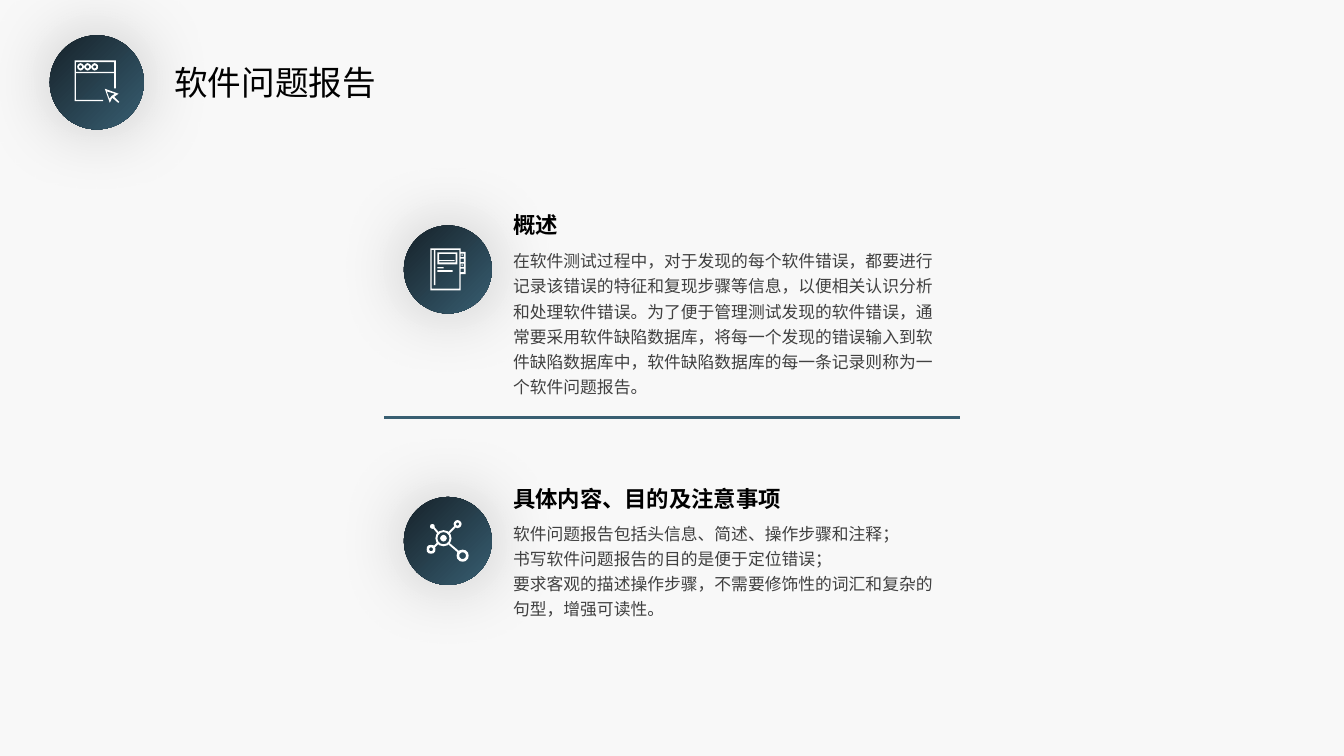
"""Build the software problem report slide with its three icon badges."""
from dataclasses import dataclass
from math import cos, radians, sin

from lxml.etree import SubElement
from pptx import Presentation
from pptx.dml.color import RGBColor
from pptx.enum.lang import MSO_LANGUAGE_ID as Lang
from pptx.enum.shapes import MSO_CONNECTOR as Connector, MSO_SHAPE as Shape
from pptx.enum.text import MSO_ANCHOR as Anchor, MSO_AUTO_SIZE as AutoSize, PP_ALIGN as Align
from pptx.oxml.ns import qn
from pptx.util import Emu, Pt

PX = 3048
COLORS = {
    "background": "F8F8F8", "dark": "17232B", "blue": "395F72",
    "icon": "FFFFFF", "heading": "000000", "body": "404040",
}
CJK = "Noto Sans CJK SC"
Contour = tuple[tuple[int, int], ...]


@dataclass(frozen=True)
class Badge:
    left: int
    top: int
    size: int
    contours: tuple[Contour, ...]


@dataclass(frozen=True)
class Copy:
    idx: int
    box: tuple[int, int, int, int]
    text: str
    size: int
    color: str
    spacing: float = 1.0
    font: str = CJK
    bold: bool = False


@dataclass(frozen=True)
class Section:
    badge: Badge
    copies: tuple[Copy, ...]


def box(left: int, top: int, right: int, bottom: int) -> Contour:
    return ((left, top), (right, top), (right, bottom), (left, bottom))


def disc(cx: int, cy: int, size: int) -> Contour:
    angles = [radians(a) for a in range(0, 360, 30)]
    return tuple((round(cx + size / 2 * cos(a)), round(cy + size / 2 * sin(a))) for a in angles)


BROWSER = (
    ((222, 180), (345, 180), (345, 263), (340, 263), (340, 218),
     (226, 218), (226, 297), (307, 297), (307, 301), (222, 301)),
    box(226, 185, 340, 214),
    *(disc(cx, 199, size) for cx in (240, 261, 282) for size in (21, 10)),
    ((312, 264), (353, 279), (340, 288), (355, 303), (352, 306), (334, 291), (327, 306)),
    ((318, 272), (326, 294), (332, 286), (342, 279)),
)
NOTEBOOK = (
    ((1281, 739), (1371, 739), (1371, 750), (1386, 750),
     (1386, 816), (1371, 816), (1371, 864), (1281, 864)),
    ((1285, 744), (1285, 859), (1367, 859), (1367, 744),
     (1296, 744), (1296, 849), (1291, 849), (1291, 744)),
    box(1302, 751, 1361, 787),
    ((1307, 756), (1307, 774), (1353, 774), (1353, 777),
     (1307, 777), (1307, 781), (1356, 781), (1356, 756)),
    box(1302, 795, 1320, 799),
    box(1302, 804, 1347, 809),
    *(box(1371, y, 1381, y + 10) for y in range(755, 801, 15)),
    *(box(1374, y, 1377, y + 5) for y in (757, 787)),
)
NETWORK = (
    *(disc(1320, 1602, size) for size in (48, 36, 19)),
    *(disc(1362, 1560, size) for size in (24, 10)),
    disc(1287, 1567, 15),
    *(disc(1283, 1635, size) for size in (27, 12)),
    *(disc(1377, 1654, size) for size in (36, 20)),
    ((1335, 1583), (1352, 1566), (1356, 1570), (1339, 1587)),
    ((1305, 1583), (1294, 1570), (1290, 1574), (1301, 1587)),
    ((1300, 1616), (1291, 1625), (1295, 1629), (1304, 1620)),
    ((1339, 1617), (1366, 1640), (1362, 1644), (1335, 1621)),
)
SECTIONS = (
    Section(Badge(148, 105, 280, BROWSER), (
        Copy(0, (489, 168, 1530, 150), "软件问题报告", 24, "heading", font="Arial"),
    )),
    Section(Badge(1202, 671, 262, NOTEBOOK), (
        Copy(2, (1497, 717, 1350, 483),
             "在软件测试过程中，对于发现的每个软件错误，都要进行记录该错误的特征和复现步骤等信息，"
             "以便相关认识分析和处理软件错误。为了便于管理测试发现的软件错误，通常要采用软件缺陷数据库，"
             "将每一个发现的错误输入到软件缺陷数据库中，软件缺陷数据库的每一条记录则称为一个软件问题报告。",
             12, "body", 1.25),
        Copy(1, (1497, 597, 672, 126), "概述", 16, "heading", 1.2, bold=True),
    )),
    Section(Badge(1202, 1479, 262, NETWORK), (
        Copy(4, (1497, 1528, 1350, 408),
             "软件问题报告包括头信息、简述、操作步骤和注释；\n"
             "书写软件问题报告的目的是便于定位错误；\n"
             "要求客观的描述操作步骤，不需要修饰性的词汇和复杂的句型，增强可读性。",
             12, "body", 1.25),
        Copy(3, (1497, 1413, 957, 126), "具体内容、目的及注意事项", 16, "heading", 1.2, bold=True),
    )),
)


def px(value: int) -> Emu:
    return Emu(value * PX)


def rgb(name: str) -> RGBColor:
    return RGBColor.from_string(COLORS[name])


def add_glow(sp) -> None:
    sp.shadow.inherit = False
    effects = sp._element.spPr.find(qn("a:effectLst"))
    shadow = SubElement(effects, qn("a:outerShdw"), blurRad=str(Pt(53)), dist="0",
                        dir="0", algn="ctr", rotWithShape="0")
    tint = SubElement(shadow, qn("a:srgbClr"), val=COLORS["heading"])
    SubElement(tint, qn("a:alpha"), val="20000")


def add_icon(slide, contours: tuple[Contour, ...]) -> None:
    builder = slide.shapes.build_freeform(*contours[0][0], scale=PX)
    for contour in contours:
        builder.move_to(*contour[0])
        builder.add_line_segments(contour[1:], close=True)
    sp = builder.convert_to_shape()
    sp.fill.solid()
    sp.fill.fore_color.rgb = rgb("icon")
    sp.line.fill.background()
    add_glow(sp)


def add_badge(slide, badge: Badge) -> None:
    sp = slide.shapes.add_shape(Shape.OVAL, px(badge.left), px(badge.top),
                                px(badge.size), px(badge.size))
    sp.fill.gradient()
    sp.fill.gradient_angle = 315
    for stop, name, position in zip(sp.fill.gradient_stops, ("dark", "blue"), (0, 1)):
        stop.color.rgb = rgb(name)
        stop.position = position
    sp.line.fill.background()
    add_glow(sp)
    add_icon(slide, badge.contours)


def fill_placeholder(slide, copy: Copy) -> None:
    sp = next(s for s in slide.placeholders if s.placeholder_format.idx == copy.idx)
    slide.shapes._spTree.append(sp._element)
    sp.left, sp.top, sp.width, sp.height = map(px, copy.box)
    tf = sp.text_frame
    tf.text = copy.text
    tf.word_wrap = True
    tf.auto_size = AutoSize.SHAPE_TO_FIT_TEXT
    tf.vertical_anchor = Anchor.TOP
    for p in tf.paragraphs:
        p.alignment = Align.LEFT
        p.line_spacing = copy.spacing
        p.space_before = p.space_after = Pt(0)
        pPr = p._p.get_or_add_pPr()
        pPr.set("marL", "0")
        pPr.set("indent", "0")
        SubElement(pPr, qn("a:buNone"))
        for r in p.runs:
            r.font.size = Pt(copy.size)
            r.font.bold = copy.bold
            r.font.color.rgb = rgb(copy.color)
            r.font.name = copy.font
            r.font.language_id = Lang.SIMPLIFIED_CHINESE
            SubElement(r._r.get_or_add_rPr(), qn("a:ea"), typeface=copy.font)


def add_divider(slide) -> None:
    sp = slide.shapes.add_connector(Connector.STRAIGHT, px(1143), px(1242), px(2856), px(1242))
    sp.line.color.rgb = rgb("blue")
    sp.line.width = Pt(2.25)
    SubElement(sp._element.spPr, qn("a:effectLst"))


def main() -> None:
    prs = Presentation()
    prs.slide_width, prs.slide_height = px(4000), px(2250)
    slide = prs.slides.add_slide(prs.slide_layouts.get_by_name("Comparison"))
    slide.background.fill.solid()
    slide.background.fill.fore_color.rgb = rgb("background")
    for section in SECTIONS:
        add_badge(slide, section.badge)
        for copy in section.copies:
            fill_placeholder(slide, copy)
    add_divider(slide)
    prs.save("out.pptx")


if __name__ == "__main__":
    main()
